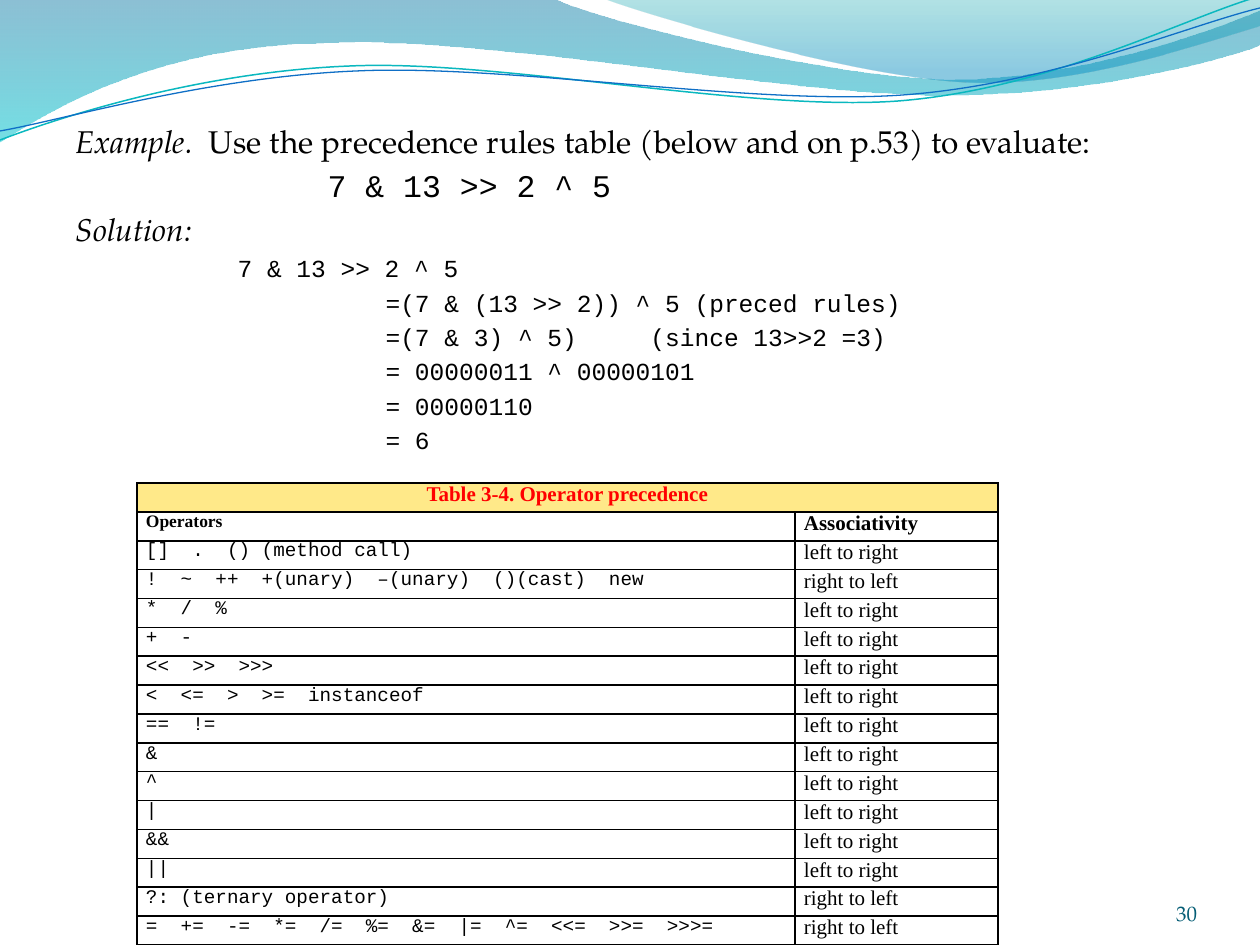
import pptx
import pptx.util
import pptx.dml.color
import pptx.enum.text
import pptx.oxml.ns
from lxml import etree

PX = 914400 / 126
SERIF, MONO, TABLE_FONT = "TeX Gyre Pagella", "Courier New", "Times New Roman"
COLORS = {"text": "000000", "number": "045D75", "heading": "FF0000", "heading_fill": "FFE989",
          "band_top": "0074A1", "band_end": "00C6CF", "sweep_top": "00A1A9",
          "sweep_end": "008BBF", "teal": "0AB8BF", "blue": "0F6FC6"}
Pt, qn = pptx.util.Pt, pptx.oxml.ns.qn
rgb = pptx.dml.color.RGBColor.from_string


def emu(px):
    """Turn pixels into EMU."""
    return pptx.util.Emu(round(px * PX))


def add_run(p, text, size, font, color="text", bold=False, italic=False):
    """Add one formatted run to a paragraph."""
    r = p.add_run()
    r.text = text
    r.font.size, r.font.name = Pt(size), font
    r.font.bold, r.font.italic = bold, italic
    r.font.color.rgb = rgb(COLORS[color])


prs = pptx.Presentation()
prs.slide_width, prs.slide_height = emu(1260), emu(945)
s = prs.slides.add_slide(prs.slide_layouts[1])
s.shapes._spTree.remove(s.shapes.title.element)
body = s.placeholders[1]

# Waves: a two-number step is a straight line, a six-number step a Bezier curve.
# Fill stops are (position, colour, opacity in percent).
waves = [
    ([(0, 0), (554, -1), (600, 21, 837, 79, 955, 79), (1075, 79, 1207, 33, 1260, 11),
      (1261, 45), (1239, 55, 1096, 96, 940, 95), (784, 95, 481, 35, 324, 43),
      (163, 45, 58, 105, -1, 142)],
     [(0, "band_top", 45), (1, "band_end", 55)], None),
    ([(604, -1), (641, 14, 859, 78, 969, 82), (1079, 87, 1211, 40, 1260, 26), (1260, 0)],
     [(0, "sweep_top", 30), (0.8, "sweep_end", 45)], None),
    ([(0, 140), (60, 117, 199, 72, 349, 66), (498, 59, 747, 112, 898, 101),
      (1050, 89, 1182, 19, 1257, -3)], None, ("teal", 0.85)),
    ([(0, 131), (59, 121, 207, 77, 357, 71), (508, 64, 752, 106, 903, 95),
      (1053, 84, 1186, 26, 1260, 8)], None, ("blue", 0.75)),
]
for outline, stops, line in waves:
    points = [(emu(x), emu(y)) for step in outline for x, y in zip(step[::2], step[1::2])]
    builder = s.shapes.build_freeform(*points[0])
    builder.add_line_segments(points[1:], close=stops is not None)
    sp = builder.convert_to_shape()
    # Join the three points of each curve into one Bezier segment.
    segments = iter(list(sp.element.iter(qn("a:lnTo"))))
    for step in outline[1:]:
        first = next(segments)
        if len(step) == 6:
            curve = etree.Element(qn("a:cubicBezTo"))
            first.addprevious(curve)
            for segment in (first, next(segments), next(segments)):
                curve.append(segment[0])
                segment.getparent().remove(segment)
    sp.shadow.inherit = False
    if stops:
        sp.line.fill.background()
        sp.fill.gradient()
        sp.fill.gradient_angle = 270
        for stop, (position, color, _) in zip(sp.fill.gradient_stops, stops):
            stop.position = position
            stop.color.rgb = rgb(COLORS[color])
        tints = sp.element.spPr.find(qn("a:gradFill")).iter(qn("a:srgbClr"))
        for tint, (_, _, opacity) in zip(tints, stops):
            etree.SubElement(tint, qn("a:alpha"), val=str(opacity * 1000))
    else:
        sp.fill.background()
        sp.line.color.rgb = rgb(COLORS[line[0]])
        sp.line.width = Pt(line[1])

# Worked example: (first-line indent, space before, runs of text, size, font, italic)
body.left, body.top, body.width, body.height = emu(63), emu(116), emu(1176), emu(756)
s.shapes._spTree.append(body.element)
tf = body.text_frame
tf.auto_size = pptx.enum.text.MSO_AUTO_SIZE.NONE
lines = [
    (0, 3.6, [("Example. ", 18, SERIF, True),
              (" Use the precedence rules table (below and on p.53) to evaluate:",
               18, SERIF, False)]),
    (252, 3.6, [("7 & 13 >> 2 ^ 5", 18, MONO, False)]),
    (0, 3.6, [("Solution:", 18, SERIF, True)]),
    (162, 2.8, [("7 & 13 >> 2 ^ 5", 14, MONO, False)]),
]
for text in ["=(7 & (13 >> 2)) ^ 5 (preced rules)", "=(7 & 3) ^ 5)     (since 13>>2 =3)",
             "= 00000011 ^ 00000101", "= 00000110", "= 6"]:
    lines.append((310, 2.8, [(text, 14, MONO, False)]))
for i, (indent, space, runs) in enumerate(lines):
    p = tf.add_paragraph() if i else tf.paragraphs[0]
    p.space_before = Pt(space)
    pPr = p._p.get_or_add_pPr()
    pPr.set("marL", "0")
    pPr.set("indent", str(emu(indent)))
    etree.SubElement(pPr, qn("a:buNone"))
    for text, size, font, italic in runs:
        add_run(p, text, size, font, italic=italic)

# Slide number
sp = s.shapes.add_textbox(emu(1092), emu(876), emu(105), emu(50))
tf = sp.text_frame
tf.word_wrap = True
tf.margin_left = tf.margin_right = tf.margin_top = tf.margin_bottom = 0
tf.vertical_anchor = pptx.enum.text.MSO_ANCHOR.BOTTOM
tf.paragraphs[0].alignment = pptx.enum.text.PP_ALIGN.RIGHT
add_run(tf.paragraphs[0], "30", 12, SERIF, "number")

# Precedence table
LEFT, RIGHT = "left to right", "right to left"
rows = [
    ("Table 3-4. Operator precedence", ""),
    ("Operators", "Associativity"),
    ("[]  .  () (method call)", LEFT),
    ("!  ~  ++  +(unary)  –(unary)  ()(cast)  new", RIGHT),
    ("*  /  %", LEFT),
    ("+  -", LEFT),
    ("<<  >>  >>>", LEFT),
    ("<  <=  >  >=  instanceof", LEFT),
    ("==  !=", LEFT),
    ("&", LEFT),
    ("^", LEFT),
    ("|", LEFT),
    ("&&", LEFT),
    ("||", LEFT),
    ("?: (ternary operator)", RIGHT),
    ("=  +=  -=  *=  /=  %=  &=  |=  ^=  <<=  >>=  >>>=", RIGHT),
]
table = s.shapes.add_table(len(rows), 2, emu(137), emu(483), emu(861), emu(462)).table
table.first_row = table.horz_banding = False
table.columns[0].width, table.columns[1].width = emu(658), emu(203)
for i, row in enumerate(rows):
    table.rows[i].height = emu(462 / len(rows))
    for j, text in enumerate(row):
        cell = table.cell(i, j)
        cell.margin_left = cell.margin_right = emu(9)
        cell.margin_top = cell.margin_bottom = 0
        tcPr = cell._tc.get_or_add_tcPr()
        for side in ("lnL", "lnR", "lnT", "lnB"):
            ln = etree.SubElement(tcPr, qn("a:" + side), w=str(Pt(1)))
            fill = etree.SubElement(ln, qn("a:solidFill"))
            etree.SubElement(fill, qn("a:srgbClr"), val=COLORS["text"])
        if i == 0:
            cell.fill.solid()
            cell.fill.fore_color.rgb = rgb(COLORS["heading_fill"])
        else:
            cell.fill.background()
        p = cell.text_frame.paragraphs[0]
        if i == 0:
            p.alignment = pptx.enum.text.PP_ALIGN.CENTER
        if text:
            operators = i > 1 and j == 0
            size = 11 if operators else 10 if (i, j) == (1, 0) else 12
            add_run(p, text, size, MONO if operators else TABLE_FONT,
                    "text" if i else "heading", bold=i < 2)
table.cell(0, 0).merge(table.cell(0, 1))

prs.save("out.pptx")
